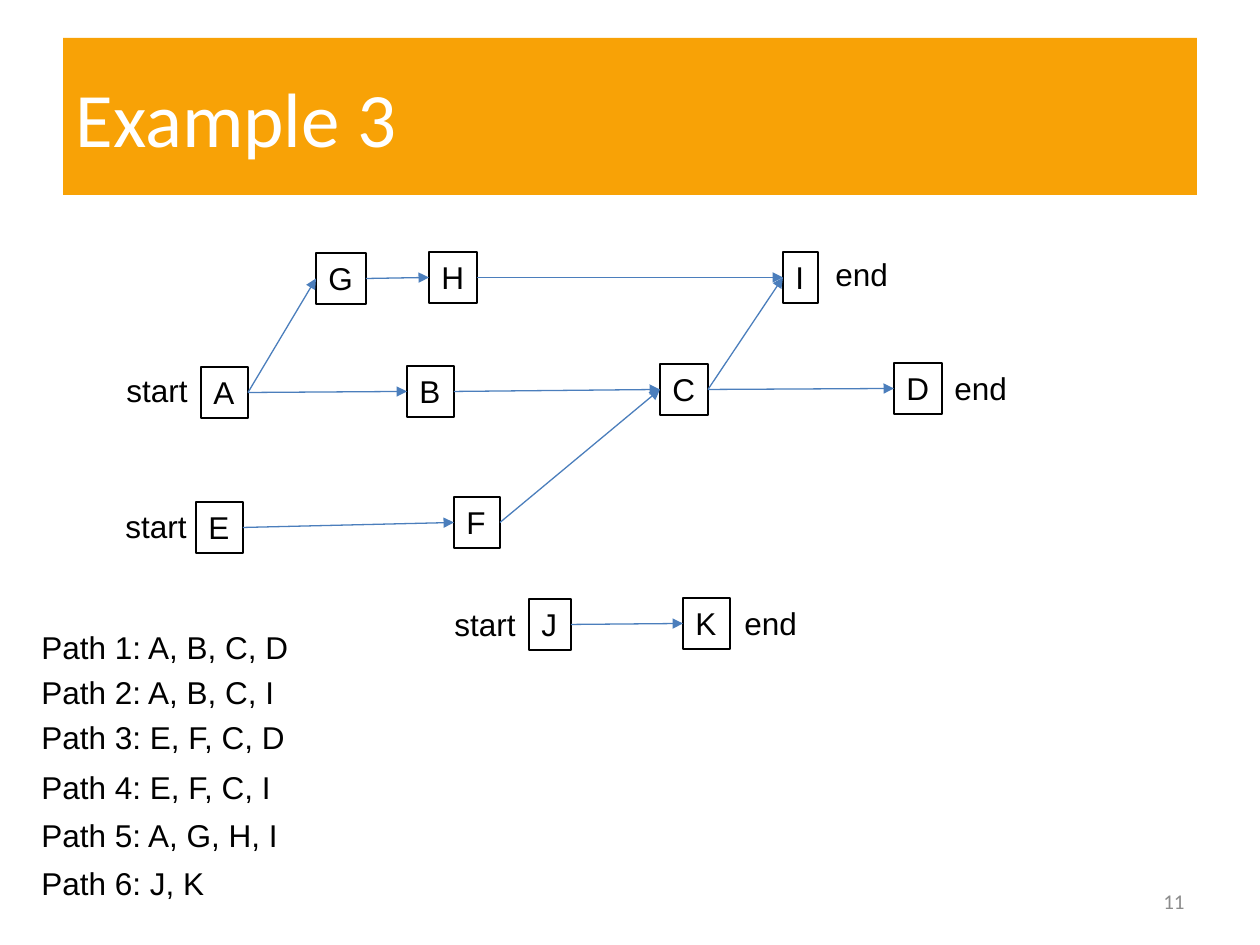
from lxml.etree import SubElement
from pptx import Presentation
from pptx.dml.color import RGBColor
from pptx.enum.shapes import MSO_CONNECTOR as Connector, MSO_SHAPE as Shape
from pptx.enum.text import MSO_ANCHOR as Anchor, MSO_AUTO_SIZE as AutoSize, PP_ALIGN as Align
from pptx.oxml.ns import qn
from pptx.util import Pt

SCALE = 914400 // 126
BOX_HEIGHT = 51

NODES = {
    "A": (201, 367, 47), "B": (407, 366, 47), "C": (660, 364, 48), "D": (894, 363, 48),
    "E": (196, 502, 47), "F": (454, 497, 46), "G": (316, 253, 50), "H": (429, 252, 48),
    "I": (783, 252, 35), "J": (529, 599, 42), "K": (683, 598, 47),
}
ARROWS = ["AB", "BC", "CD", "EF", "FC", "GH", "HI", "CI", "JK", "AG"]
LABELS = [
    ("start", 114, 365, 87), ("end", 942, 363, 78),
    ("start", 113, 501, 87), ("end", 823, 249, 78),
    ("start", 442, 599, 87), ("end", 732, 598, 78),
]
PATHS = [
    ("Path 1: A, B, C, D", 622, 275), ("Path 2: A, B, C, I", 667, 261),
    ("Path 3: E, F, C, D", 712, 271), ("Path 4: E, F, C, I", 762, 257),
    ("Path 5: A, G, H, I", 810, 265), ("Path 6: J, K", 858, 190),
]
PATH_LEFT = 29


def px(*lengths):
    return [length * SCALE for length in lengths]


def color(hex_string):
    return RGBColor.from_string(hex_string)


def write(shape, text, size=18, font="Arial", ink="000000", align=Align.LEFT,
          anchor=Anchor.TOP, wrap=False):
    frame = shape.text_frame
    frame.word_wrap = wrap
    frame.auto_size = AutoSize.NONE if wrap else AutoSize.SHAPE_TO_FIT_TEXT
    frame.vertical_anchor = anchor
    paragraph = frame.paragraphs[0]
    paragraph.alignment = align
    run = paragraph.add_run()
    run.text = text
    run.font.size = Pt(size)
    run.font.name = font
    run.font.color.rgb = color(ink)


def add_node(slide, name, left, top, width):
    shape = slide.shapes.add_shape(Shape.RECTANGLE, *px(left, top, width, BOX_HEIGHT))
    shape.shadow.inherit = False
    shape.fill.background()
    shape.line.color.rgb = color("000000")
    shape.line.width = Pt(0.75)
    write(shape, name)
    return shape


def add_arrow(slide, source, target):
    arrow = slide.shapes.add_connector(Connector.STRAIGHT, 0, 0, 0, 0)
    arrow.begin_connect(source, 3)
    arrow.end_connect(target, 1)
    arrow.line.color.rgb = color("4B7EBC")
    arrow.line.width = Pt(0.75)
    SubElement(arrow.line._get_or_add_ln(), qn("a:tailEnd"), type="triangle")
    SubElement(arrow._element.spPr, qn("a:effectLst"))


def add_text(slide, text, left, top, width, height=BOX_HEIGHT, **text_format):
    write(slide.shapes.add_textbox(*px(left, top, width, height)), text, **text_format)


def main():
    presentation = Presentation()
    presentation.slide_width, presentation.slide_height = px(1260, 945)
    slide = presentation.slides.add_slide(presentation.slide_layouts[5])

    title = slide.shapes.title
    title.left, title.top, title.width, title.height = px(63, 38, 1134, 157)
    title.fill.solid()
    title.fill.fore_color.rgb = color("F8A206")
    write(title, "Example 3", size=44, font="Calibri", ink="FFFFFF",
          anchor=Anchor.MIDDLE, wrap=True)

    boxes = {name: add_node(slide, name, *place) for name, place in NODES.items()}
    for source, target in ARROWS:
        add_arrow(slide, boxes[source], boxes[target])
    for label in LABELS:
        add_text(slide, *label)
    for text, top, width in PATHS:
        add_text(slide, text, PATH_LEFT, top, width)
    add_text(slide, "11", 903, 876, 294, 50, size=12, font="Calibri", ink="8C8C8C",
             align=Align.RIGHT, anchor=Anchor.MIDDLE, wrap=True)

    presentation.save("out.pptx")


if __name__ == "__main__":
    main()
